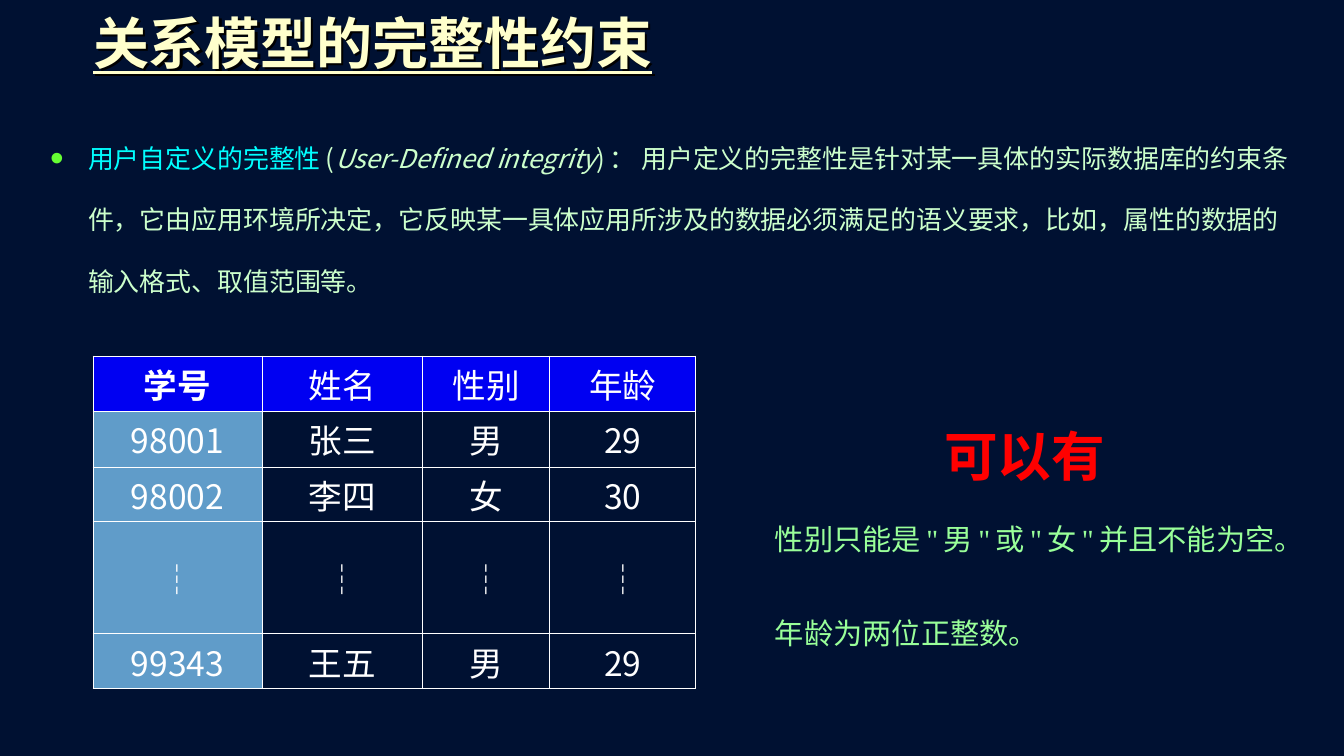
from lxml.etree import SubElement
from pptx import Presentation
from pptx.dml.color import RGBColor
from pptx.enum.text import MSO_ANCHOR, MSO_AUTO_SIZE, PP_ALIGN
from pptx.oxml.ns import qn
from pptx.util import Emu, Pt

SANS, SERIF = "Noto Sans CJK SC", "Times New Roman"
NAVY, WHITE, CREAM, RED = "001132", "FFFFFF", "FFFFCC", "FF0000"
CYAN, MINT, GREEN, LIME = "00FFFF", "CCFFCC", "99FF99", "66FF33"
HEADER_BLUE, KEY_BLUE = "0000F2", "609CC9"

ROWS = [
    ["学号", "姓名", "性别", "年龄"],
    ["98001", "张三", "男", "29"],
    ["98002", "李四", "女", "30"],
    ["┆"] * 4,
    ["99343", "王五", "男", "29"],
]
COLUMN_WIDTHS = [169, 161, 127, 146]
ROW_HEIGHTS = [55, 56, 55, 112, 55]


def px(n):
    return Emu(round(n * 914400 / 100.8))


def rgb(value):
    return RGBColor.from_string(value)


def child(parent, tag, **attributes):
    return SubElement(parent, qn(tag), {k: str(v) for k, v in attributes.items()})


def add_run(p, text, size, color, font=SANS, bold=False, italic=False,
            underline=False, tracking=0, baseline=None):
    r = p.add_run()
    r.text = text
    f = r.font
    f.size, f.bold, f.italic, f.underline = Pt(size), bold, italic, underline
    f.color.rgb = rgb(color)
    f.name = font
    rPr = r._r.get_or_add_rPr()
    child(rPr, "a:ea", typeface=SANS)
    if tracking:
        rPr.set("spc", str(round(tracking * 100)))
    if baseline is not None:
        rPr.set("baseline", str(baseline))


class Deck:
    def __init__(self):
        self.prs = Presentation()
        self.prs.slide_width, self.prs.slide_height = px(1344), px(756)
        self.s = self.prs.slides.add_slide(self.prs.slide_layouts[1])
        fill = self.s.background.fill
        fill.solid()
        fill.fore_color.rgb = rgb(NAVY)

    def frame(self, sp, x, y, w, h, inset=(10, 5), anchor=MSO_ANCHOR.TOP, wrap=True):
        """Place a shape and return its prepared text frame."""
        sp.left, sp.top, sp.width, sp.height = map(px, (x, y, w, h))
        tf = sp.text_frame
        tf.auto_size = MSO_AUTO_SIZE.NONE
        tf.word_wrap, tf.vertical_anchor = wrap, anchor
        tf.margin_left = tf.margin_right = px(inset[0])
        tf.margin_top = tf.margin_bottom = px(inset[1])
        return tf

    def title(self, text, *box):
        sp = self.s.shapes.title
        tf = self.frame(sp, *box, inset=(8, 8), anchor=MSO_ANCHOR.MIDDLE)
        sp.fill.background()
        effects = child(sp._element.spPr, "a:effectLst")
        shade = child(effects, "a:outerShdw", dist=px(3), dir=2700000)
        child(shade, "a:srgbClr", val="000000")
        p = tf.paragraphs[0]
        p.alignment = PP_ALIGN.LEFT
        add_run(p, text, 40, CREAM, bold=True, underline=True)

    def bullet(self, runs, *box):
        p = self.frame(self.s.placeholders[1], *box).paragraphs[0]
        p.line_spacing, p.space_before = 1.98, Pt(0)
        pPr = p._p.get_or_add_pPr()
        pPr.set("marL", str(px(38)))
        pPr.set("indent", str(-px(38)))
        child(child(pPr, "a:buClr"), "a:srgbClr", val=LIME)
        child(pPr, "a:buSzPct", val=150000)
        child(pPr, "a:buChar", char="•")
        for text, color, style in runs:
            add_run(p, text, 18.5, color, **style)

    def text(self, paragraphs, *box, spacing=1.0, gap=0, align=PP_ALIGN.LEFT,
             inset=(0, 0), wrap=True, **style):
        """Add a text box; each paragraph is a list of (text, tracking) runs."""
        sp = self.s.shapes.add_textbox(0, 0, 0, 0)
        tf = self.frame(sp, *box, inset=inset, wrap=wrap)
        for i, runs in enumerate(paragraphs):
            p = tf.add_paragraph() if i else tf.paragraphs[0]
            p.alignment, p.line_spacing = align, spacing
            p.space_before = Pt(gap if i else 0)
            for text, tracking in runs:
                add_run(p, text, tracking=tracking, **style)

    def table(self, rows, x, y, widths, heights):
        table = self.s.shapes.add_table(
            len(rows), len(widths), px(x), px(y), px(sum(widths)), px(sum(heights))).table
        for column, width in zip(table.columns, widths):
            column.width = px(width)
        for row, height in zip(table.rows, heights):
            row.height = px(height)
        for i, values in enumerate(rows):
            for j, value in enumerate(values):
                fill = HEADER_BLUE if i == 0 else KEY_BLUE if j == 0 else None
                self.cell(table.cell(i, j), value, fill, bold=i == j == 0)

    def cell(self, cell, value, fill, bold):
        cell.margin_left = cell.margin_right = cell.margin_top = cell.margin_bottom = 0
        cell.vertical_anchor = MSO_ANCHOR.MIDDLE
        p = cell.text_frame.paragraphs[0]
        p.alignment = PP_ALIGN.CENTER
        add_run(p, value, 24, WHITE, bold=bold)
        tcPr = cell._tc.get_or_add_tcPr()
        for side in ("a:lnL", "a:lnR", "a:lnT", "a:lnB"):
            line = child(tcPr, side, w=Pt(0.75))
            child(child(line, "a:solidFill"), "a:srgbClr", val=WHITE)
        if fill:
            cell.fill.solid()
            cell.fill.fore_color.rgb = rgb(fill)
        else:
            cell.fill.background()


def main():
    deck = Deck()
    deck.title("关系模型的完整性约束", 85, 0, 582, 84)
    deck.bullet([
        ("用户自定义的完整", CYAN, {}),
        ("性", CYAN, {"tracking": 3.5}),
        ("(", MINT, {"tracking": 0.5}),
        ("User-Defined integrity", MINT, {"italic": True, "tracking": -0.1}),
        (")", MINT, {"tracking": 3.5}),
        ("： 用户定义的完整性是针对某一具体的实际数据库的约束条件，"
         "它由应用环境所决定，它反映某一具体应用所涉及的数据必须满足的语义要求，"
         "比如，属性的数据的输入格式、取值范围等。", MINT, {}),
    ], 40, 107, 1264, 271)
    deck.text([[("性别只能", 0), ("是\"男\"或\"女\"", 3.8), ("并且不能为空。", 0)],
               [("年龄为两位正整数。", 0)]],
              775, 488, 504, 250, spacing=1.96, gap=18,
              size=20.9, color=GREEN, font=SERIF)
    deck.table(ROWS, 93, 356, COLUMN_WIDTHS, ROW_HEIGHTS)
    deck.text([[("可以有", 0)]], 850, 356, 349, 105, align=PP_ALIGN.CENTER,
              inset=(10, 5), wrap=False, size=66, color=RED, bold=True, baseline=-25000)
    deck.prs.save("out.pptx")


if __name__ == "__main__":
    main()
